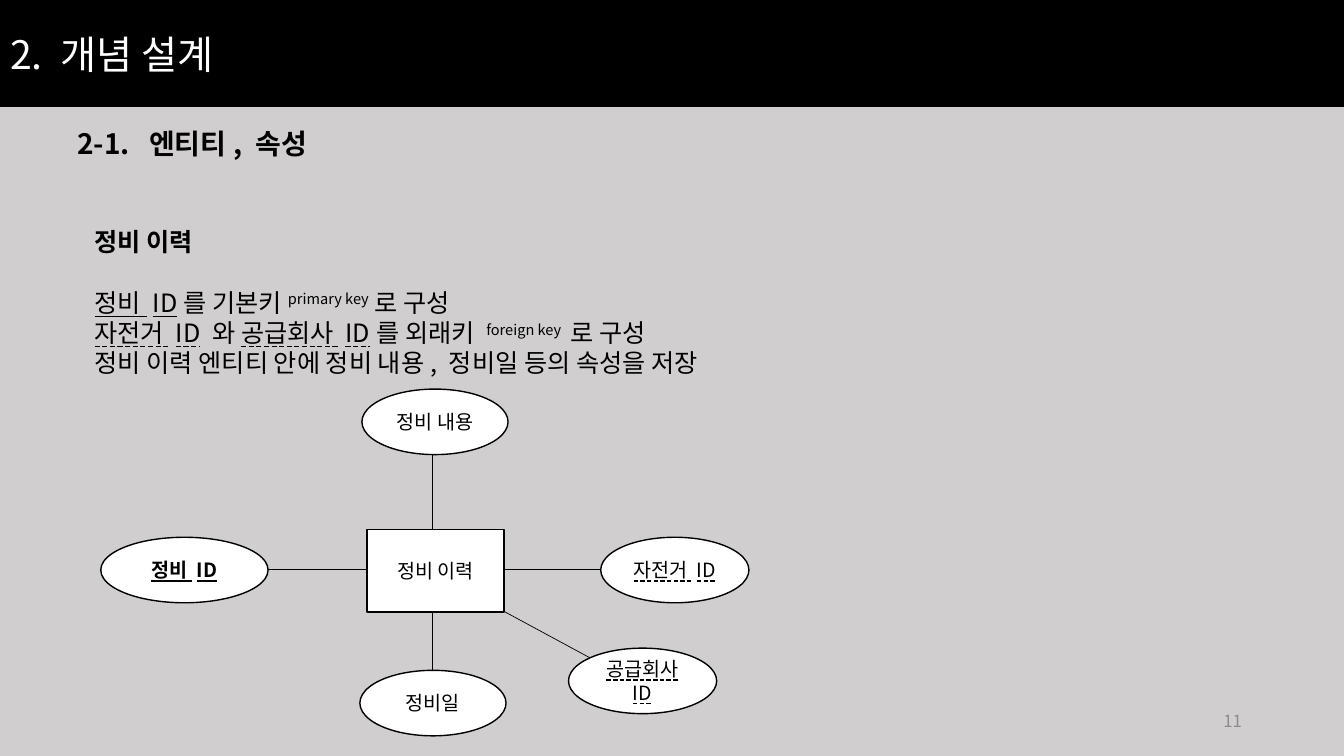
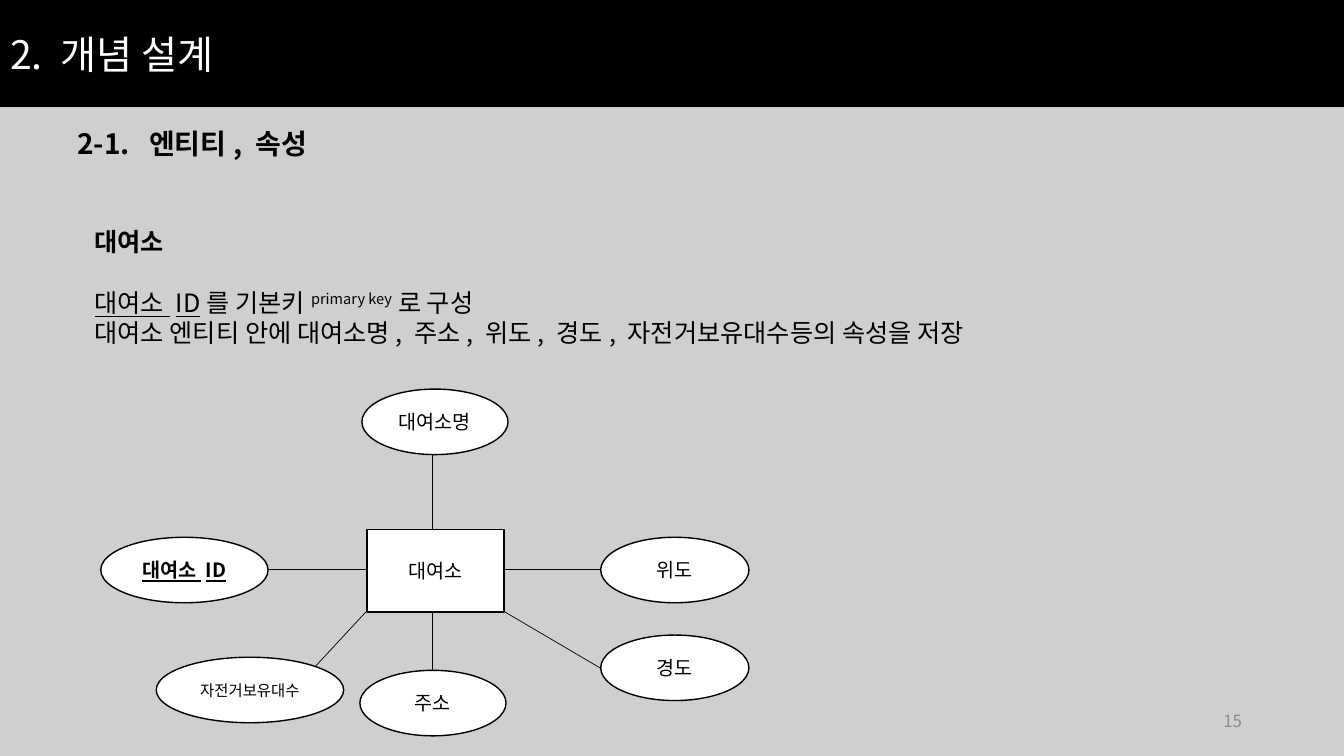
import dataclasses
import enum
import typing

import lxml.etree
import pptx
import pptx.dml.color
import pptx.enum.shapes
import pptx.enum.text
import pptx.oxml.ns
import pptx.util

FONT = "Noto Sans CJK KR"
BLACK, WHITE, BACKDROP, MUTED = "000000", "FFFFFF", "D0CECE", "8C8C8C"
CELLS_PER_INCH = 10
COLUMNS, ROWS = 133.33, 75
BAND_ROWS = 10.6
LINE_HEIGHT = 1.2
BODY_SIZE = 18
OVAL_ROWS = 6.5
TITLE_ONLY = 5

ANCHOR = pptx.enum.text.MSO_ANCHOR
ALIGN = pptx.enum.text.PP_ALIGN
SHAPE = pptx.enum.shapes.MSO_SHAPE


class Mark(enum.Enum):
    PLAIN = enum.auto()
    BOLD = enum.auto()
    PRIMARY = enum.auto()
    FOREIGN = enum.auto()
    SUPER = enum.auto()


class Spot(typing.NamedTuple):
    left: float
    top: float
    width: float
    link: tuple[float, float, float, float]


class Attribute(typing.NamedTuple):
    spot: Spot
    label: str
    mark: Mark = Mark.PLAIN
    bold: bool = False
    size: float = 14


class Piece(typing.NamedTuple):
    text: str
    mark: Mark = Mark.PLAIN


@dataclasses.dataclass(frozen=True)
class Entity:
    name: str
    number: int
    body_columns: float
    lines: list[list[Piece]]
    attributes: list[Attribute]


ENTITY_BOX = (36.4, 52.5, 13.6, 8.2)
LEFT = Spot(10, 53.3, 16.6, (26.6, 56.5, 36.4, 56.5))
TOP = Spot(35.9, 38.6, 14.5, (42.9, 44.4, 42.9, 52.5))
BOTTOM = Spot(35.7, 66.5, 14.5, (42.9, 60.6, 42.9, 66.5))
RIGHT = Spot(59.6, 53.3, 14.7, (49.9, 56.5, 59.6, 56.5))
LOWER_RIGHT = Spot(59.6, 63, 14.7, (49.9, 60.6, 59.6, 66.3))
INNER_RIGHT = Spot(56.4, 64.3, 14.7, (49.9, 60.6, 58.6, 65.3))
LOWER_LEFT = Spot(15.5, 65.2, 18.6, (31.3, 66.1, 36.4, 60.6))

PRIMARY_KEY = [Piece("를 기본키"), Piece("primary key", Mark.SUPER), Piece("로 구성")]

ENTITIES = [
    Entity(
        "정비 이력", 11, 79.8,
        [
            [Piece("정비 ID", Mark.PRIMARY), *PRIMARY_KEY],
            [
                Piece("자전거 ID", Mark.FOREIGN), Piece(" 와 "),
                Piece("공급회사 ID", Mark.FOREIGN), Piece("를 외래키 "),
                Piece("foreign key ", Mark.SUPER), Piece("로 구성"),
            ],
            [Piece("정비 이력 엔티티 안에 정비 내용, 정비일 등의 속성을 저장")],
        ],
        [
            Attribute(LEFT, "정비 ID", Mark.PRIMARY, bold=True),
            Attribute(TOP, "정비 내용"),
            Attribute(BOTTOM, "정비일"),
            Attribute(RIGHT, "자전거 ID", Mark.FOREIGN),
            Attribute(INNER_RIGHT, "공급회사 ID", Mark.FOREIGN),
        ],
    ),
    Entity(
        "대여소", 15, 93.8,
        [
            [Piece("대여소 ID", Mark.PRIMARY), *PRIMARY_KEY],
            [Piece("대여소 엔티티 안에 대여소명, 주소, 위도, 경도, 자전거보유대수등의 속성을 저장")],
        ],
        [
            Attribute(LEFT, "대여소 ID", Mark.PRIMARY, bold=True),
            Attribute(TOP, "대여소명"),
            Attribute(BOTTOM, "주소"),
            Attribute(RIGHT, "위도"),
            Attribute(LOWER_RIGHT, "경도"),
            Attribute(LOWER_LEFT, "자전거보유대수", size=11),
        ],
    ),
]


def cells(count: float) -> int:
    return pptx.util.Inches(count / CELLS_PER_INCH)


def color(value: str) -> pptx.dml.color.RGBColor:
    return pptx.dml.color.RGBColor.from_string(value)


def paint(fill, value: str) -> None:
    fill.solid()
    fill.fore_color.rgb = color(value)


def format_span(span, size: float, ink: str = BLACK, mark: Mark = Mark.PLAIN, bold: bool = False) -> None:
    font = span.font
    font.size = pptx.util.Pt(size)
    font.name = FONT
    font.color.rgb = color(ink)
    font.bold = bold or mark is Mark.BOLD
    if mark is Mark.PRIMARY:
        font.underline = True
    elif mark is Mark.FOREIGN:
        font.underline = pptx.enum.text.MSO_UNDERLINE.DASH_LINE
    properties = span._r.get_or_add_rPr()
    if mark is Mark.SUPER:
        properties.set("baseline", "30000")
    east_asian = lxml.etree.SubElement(properties, pptx.oxml.ns.qn("a:ea"))
    east_asian.set("typeface", FONT)


def format_para(para, size: float, align=ALIGN.LEFT, **style) -> None:
    para.alignment = align
    para.line_spacing = pptx.util.Pt(size * LINE_HEIGHT)
    for span in para.runs:
        format_span(span, size, **style)


def add_text(page, left: float, top: float, width: float, height: float):
    box = page.shapes.add_textbox(*map(cells, (left, top, width, height)))
    box.text_frame.word_wrap = True
    return box.text_frame


def add_title(page) -> None:
    title = page.shapes.title
    title.left, title.top = 0, 0
    title.width, title.height = cells(COLUMNS), cells(BAND_ROWS)
    paint(title.fill, BLACK)
    frame = title.text_frame
    frame.text = "2. 개념 설계"
    frame.auto_size = pptx.enum.text.MSO_AUTO_SIZE.NONE
    frame.vertical_anchor = ANCHOR.MIDDLE
    format_para(frame.paragraphs[0], 28, ink=WHITE)


def add_subtitle(page) -> None:
    para = add_text(page, 6.7, 12.1, 25.9, 4.4).paragraphs[0]
    para.text = "2-1.\t엔티티, 속성"
    format_para(para, 20, mark=Mark.BOLD)
    tabs = lxml.etree.SubElement(para._p.get_or_add_pPr(), pptx.oxml.ns.qn("a:tabLst"))
    tab = lxml.etree.SubElement(tabs, pptx.oxml.ns.qn("a:tab"))
    tab.set("pos", str(cells(7.1)))
    tab.set("algn", "l")


def add_body(page, entity: Entity) -> None:
    line_count = len(entity.lines) + 2
    frame = add_text(page, 8.4, 22, entity.body_columns, 1 + 3.04 * line_count)
    heading = frame.paragraphs[0]
    heading.text = entity.name
    format_para(heading, BODY_SIZE, mark=Mark.BOLD)
    heading.space_after = pptx.util.Pt(BODY_SIZE * LINE_HEIGHT)
    for line in entity.lines:
        para = frame.add_paragraph()
        format_para(para, BODY_SIZE)
        for piece in line:
            span = para.add_run()
            span.text = piece.text
            format_span(span, BODY_SIZE, mark=piece.mark)


def add_node(shapes, kind, place: tuple[float, ...], label: str, size: float = 14, **style) -> None:
    node = shapes.add_shape(kind, *map(cells, place))
    node.shadow.inherit = False
    paint(node.fill, WHITE)
    paint(node.line.fill, BLACK)
    node.line.width = pptx.util.Pt(1)
    frame = node.text_frame
    frame.text = label
    frame.word_wrap = True
    frame.vertical_anchor = ANCHOR.MIDDLE
    frame.margin_left = frame.margin_right = cells(0.8)
    format_para(frame.paragraphs[0], size, ALIGN.CENTER, **style)


def add_link(shapes, ends: tuple[float, ...]) -> None:
    link = shapes.add_connector(pptx.enum.shapes.MSO_CONNECTOR.STRAIGHT, *map(cells, ends))
    paint(link.line.fill, BLACK)
    link.line.width = pptx.util.Pt(0.5)
    lxml.etree.SubElement(link._element.spPr, pptx.oxml.ns.qn("a:effectLst"))


def add_diagram(page, entity: Entity) -> None:
    shapes = page.shapes.add_group_shape().shapes
    for attribute in entity.attributes:
        add_link(shapes, attribute.spot.link)
    add_node(shapes, SHAPE.RECTANGLE, ENTITY_BOX, entity.name)
    for spot, label, mark, bold, size in entity.attributes:
        place = (spot.left, spot.top, spot.width, OVAL_ROWS)
        add_node(shapes, SHAPE.OVAL, place, label, size, mark=mark, bold=bold)


def add_number(page, number: int) -> None:
    frame = add_text(page, 94.2, 69.5, 30, 4)
    frame.text = str(number)
    frame.vertical_anchor = ANCHOR.MIDDLE
    format_para(frame.paragraphs[0], 12, ALIGN.RIGHT, ink=MUTED)


def add_entity_page(deck, entity: Entity) -> None:
    page = deck.slides.add_slide(deck.slide_layouts[TITLE_ONLY])
    paint(page.background.fill, BACKDROP)
    add_title(page)
    add_subtitle(page)
    add_body(page, entity)
    add_diagram(page, entity)
    add_number(page, entity.number)


def main() -> None:
    deck = pptx.Presentation()
    deck.slide_width, deck.slide_height = cells(COLUMNS), cells(ROWS)
    for entity in ENTITIES:
        add_entity_page(deck, entity)
    deck.save("out.pptx")


if __name__ == "__main__":
    main()
